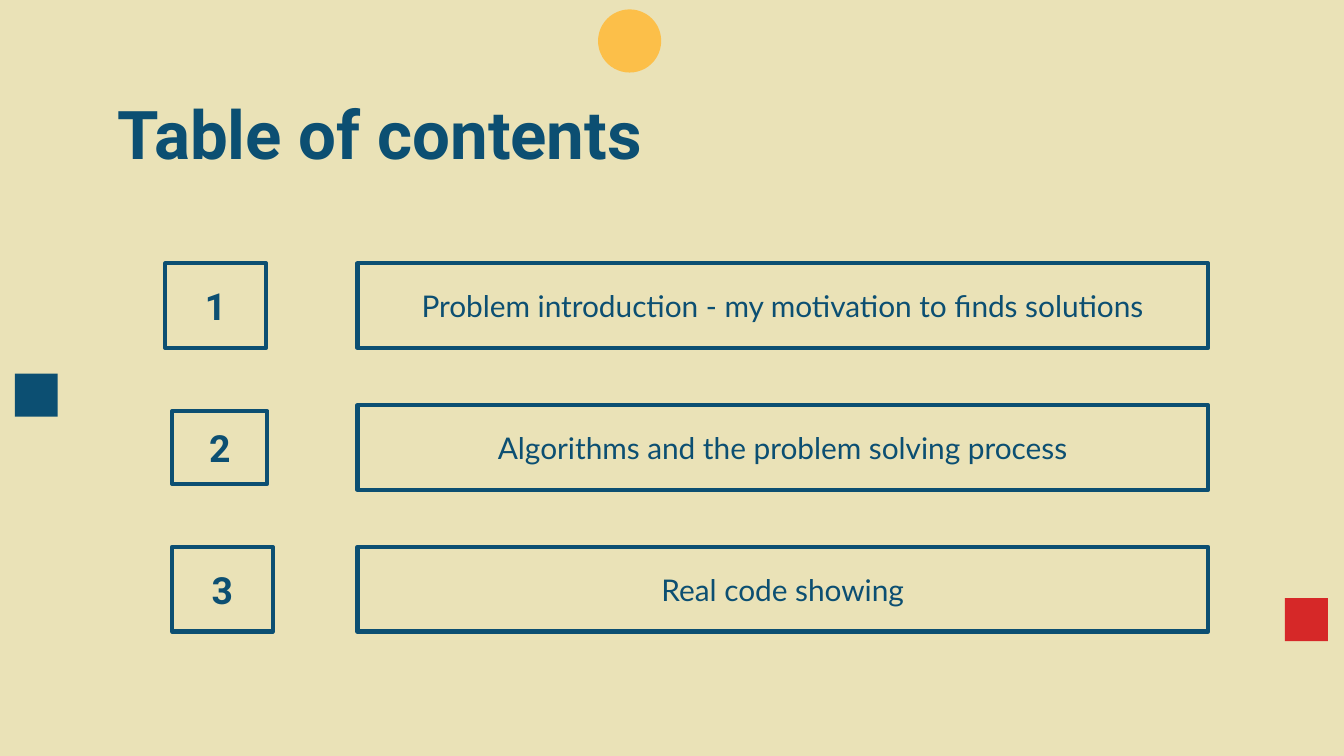
"""Build a table of contents slide with three numbered rows."""
from lxml.etree import SubElement
from pptx import Presentation
from pptx.dml.color import RGBColor
from pptx.enum.shapes import MSO_SHAPE as Shape
from pptx.enum.text import MSO_ANCHOR as Anchor, PP_ALIGN as Align
from pptx.oxml.ns import qn
from pptx.util import Inches, Pt

SAND = RGBColor(0xEA, 0xE2, 0xB7)
NAVY = RGBColor(0x0C, 0x4F, 0x72)
GOLD = RGBColor(0xFC, 0xBF, 0x49)
RED = RGBColor(0xD6, 0x28, 0x28)

TITLE = "Table of contents"
DECOR = [
    (Shape.RECTANGLE, 9.56, 4.45, 0.32, RED),
    (Shape.OVAL, 4.45, 0.07, 0.47, GOLD),
    (Shape.RECTANGLE, 0.11, 2.78, 0.32, NAVY),
]
ROWS = [
    ("Problem introduction - my motivation to finds solutions", 1.23, 0.75, 0.63),
    ("Algorithms and the problem solving process", 1.28, 0.71, 0.54),
    ("Real code showing", 1.28, 0.75, 0.63),
]
TOP, LAST, HIGH = 1.96, 4.07, 0.63
STEP = (LAST - TOP) / (len(ROWS) - 1)
LEFT, WIDE = 2.66, 6.33


def add_shape(slide, kind, *box):
    shape = slide.shapes.add_shape(kind, *map(Inches, box))
    shape.shadow.inherit = False
    return shape


def write(shape, text, font, size, bold, align, anchor):
    frame = shape.text_frame
    frame.word_wrap = True
    frame.vertical_anchor = anchor
    frame.margin_left = frame.margin_right = Inches(0.1)
    frame.margin_top = frame.margin_bottom = Inches(0.1)
    para = frame.paragraphs[0]
    para.text = text
    para.alignment = align
    para.font.name = font
    para.font.size = Pt(size)
    para.font.bold = bold
    para.font.color.rgb = NAVY


def add_frame(slide, box, text, font, size, bold):
    shape = add_shape(slide, Shape.RECTANGLE, *box)
    shape.fill.background()
    shape.line.color.rgb = NAVY
    shape.line.width = Pt(2.25)
    SubElement(shape.element.spPr.find(qn("a:ln")), qn("a:round"))
    write(shape, text, font, size, bold, Align.CENTER, Anchor.MIDDLE)


def main():
    deck = Presentation()
    deck.slide_width, deck.slide_height = Inches(10), Inches(10 * 9 / 16)
    slide = deck.slides.add_slide(deck.slide_layouts[6])
    slide.background.fill.solid()
    slide.background.fill.fore_color.rgb = SAND

    for kind, x, y, size, color in DECOR:
        shape = add_shape(slide, kind, x, y, size, size)
        shape.fill.solid()
        shape.fill.fore_color.rgb = color
        shape.line.fill.background()

    title = slide.shapes.add_textbox(*map(Inches, (0.78, 0.59, 8.44, 0.63)))
    write(title, TITLE, "Roboto", 36, True, Align.LEFT, Anchor.TOP)

    for i, (text, x, wide, high) in enumerate(ROWS):
        y = TOP + i * STEP
        mid = y + (HIGH - high) / 2
        add_frame(slide, (x, mid, wide, high), str(i + 1), "Roboto", 20, True)
        add_frame(slide, (LEFT, y, WIDE, HIGH), text, "Lato", 16, False)

    deck.save("out.pptx")


if __name__ == "__main__":
    main()
